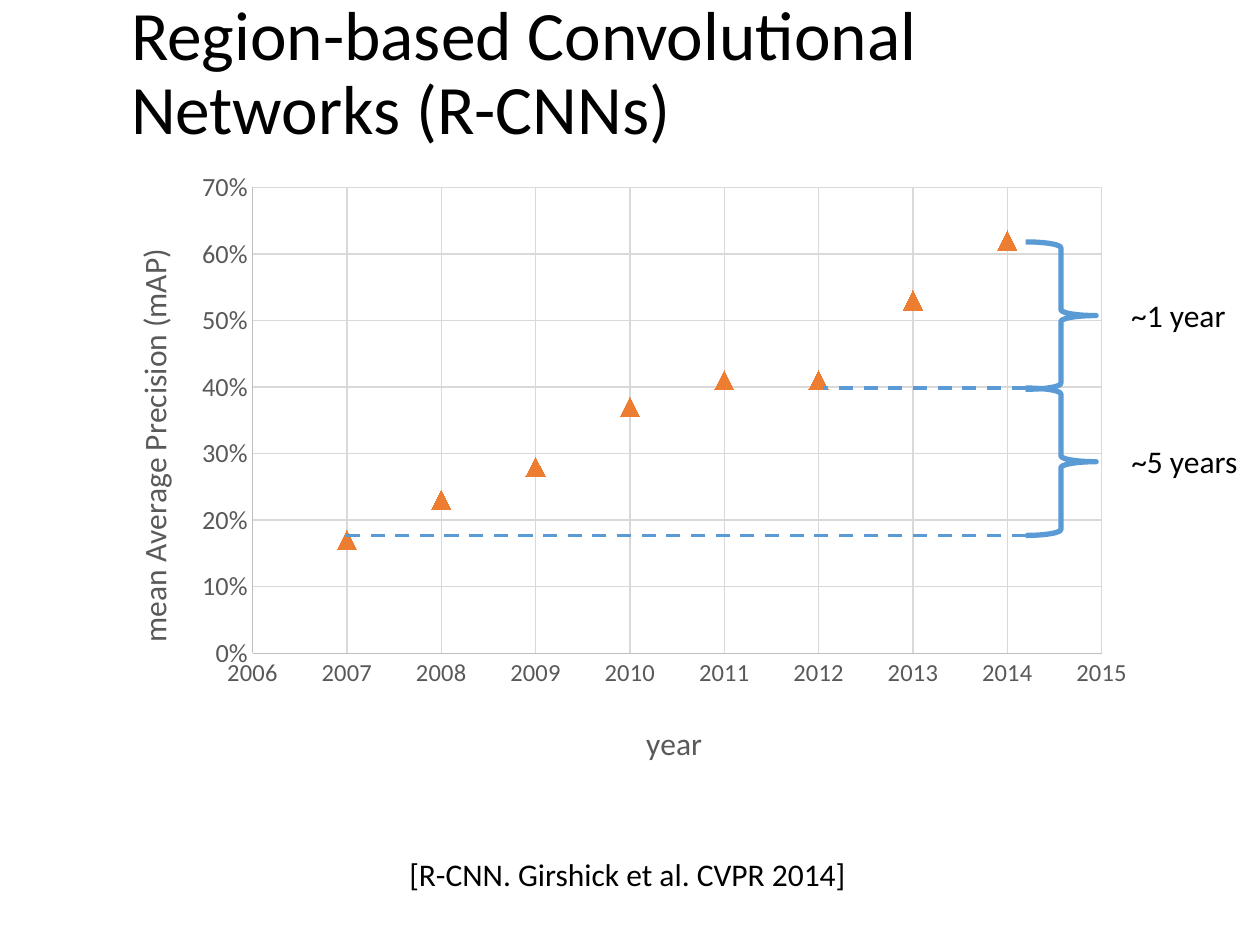
from lxml.etree import SubElement
from pptx import Presentation
from pptx.chart.data import XyChartData
from pptx.dml.color import RGBColor
from pptx.enum.chart import XL_CHART_TYPE, XL_MARKER_STYLE, XL_TICK_MARK
from pptx.enum.dml import MSO_LINE
from pptx.enum.shapes import MSO_CONNECTOR, MSO_SHAPE
from pptx.enum.text import MSO_ANCHOR, MSO_AUTO_SIZE
from pptx.oxml.ns import qn
from pptx.util import Inches, Pt

# Content
TITLE = "Region-based Convolutional Networks (R-CNNs)"
FIRST_YEAR = 2007
PRECISION = [0.17, 0.23, 0.28, 0.37, 0.41, 0.41, 0.53, 0.62]
# text, left, top, width
LABELS = [
    ("~1 year", 8.88, 2.3, 0.96),
    ("~5 years", 8.88, 3.46, 1.05),
    ("[R-CNN. Girshick et al. CVPR 2014]", 3.15, 6.74, 3.7),
]
COLORS = {"text": "000000", "axis_text": "595959", "axis": "BFBFBF",
          "grid": "D9D9D9", "marker": "ED7D31", "accent": "5B9BD5"}
FONT = "Calibri"

# Geometry
BRACE_LEFT, BRACE_WIDTH, BRACE_HEIGHT = 8.14, 0.56, 1.17
BRACE_TOPS = [1.92, 3.08]
DASHES = [(2.69, 4.25), (6.53, 3.08)]  # left end, height
PLOT_LAYOUT = {"x": 0.14, "y": 0.04, "w": 0.81, "h": 0.75}


def color(name):
    return RGBColor.from_string(COLORS[name])


def style_font(font, size, color_name="text"):
    font.name = FONT
    font.size = Pt(size)
    font.bold = False
    font.color.rgb = color(color_name)


def style_line(line, color_name, width):
    line.color.rgb = color(color_name)
    line.width = Pt(width)


def add_run(paragraph, text, size, color_name="text"):
    run = paragraph.add_run()
    run.text = text
    style_font(run.font, size, color_name)


def set_layout(element, position, inner=False):
    """Place a chart part by fractions of the chart size."""
    layout = element.find(qn("c:layout"))
    if layout is None:
        layout = element.makeelement(qn("c:layout"), {})
        element.insert(0 if inner else 1, layout)
    manual = SubElement(layout, qn("c:manualLayout"))
    if inner:
        SubElement(manual, qn("c:layoutTarget"), val="inner")
    for key in ("x", "y"):
        SubElement(manual, qn(f"c:{key}Mode"), val="edge")
    for key, value in position.items():
        SubElement(manual, qn(f"c:{key}"), val=str(value))


def style_axis(axis, limits, unit, size, number_format, title, position):
    axis.minimum_scale, axis.maximum_scale = limits
    axis.major_unit = unit
    axis.major_tick_mark = axis.minor_tick_mark = XL_TICK_MARK.NONE
    axis.has_major_gridlines = True
    style_line(axis.major_gridlines.format.line, "grid", 0.75)
    style_line(axis.format.line, "axis", 0.75)
    style_font(axis.tick_labels.font, size, "axis_text")
    axis.tick_labels.number_format = number_format
    axis.tick_labels.number_format_is_linked = False
    axis.has_title = True
    frame = axis.axis_title.text_frame
    add_run(frame.paragraphs[0], title, 18, "axis_text")
    set_layout(axis.axis_title._element, position)
    return frame


presentation = Presentation()
presentation.slide_width, presentation.slide_height = Inches(10), Inches(7.5)
slide = presentation.slides.add_slide(presentation.slide_layouts[6])

# Scatter chart
data = XyChartData()
points = data.add_series("Series 1")
for year, value in enumerate(PRECISION, FIRST_YEAR):
    points.add_data_point(year, value)
chart = slide.shapes.add_chart(
    XL_CHART_TYPE.XY_SCATTER, Inches(0.84), Inches(1.29),
    Inches(8.32), Inches(4.93), data).chart
chart.has_legend = False
chart.has_title = False
style_font(chart.font, 10)
chart.plots[0].vary_by_categories = False
style_axis(chart.category_axis, (2006, 2015), 1, 14, "0",
           "year", {"x": 0.51, "y": 0.89})
value_title = style_axis(chart.value_axis, (0, 0.7), 0.1, 15, "0%",
                         "mean Average Precision (mAP)", {"x": 0.02, "y": 0.13})
body = value_title._txBody.find(qn("a:bodyPr"))
body.set("rot", "-5400000")
body.set("vert", "horz")
set_layout(chart._chartSpace.find(".//" + qn("c:plotArea")), PLOT_LAYOUT, inner=True)

series = chart.plots[0].series[0]
series.smooth = False
series.format.line.fill.background()
series.marker.style = XL_MARKER_STYLE.TRIANGLE
series.marker.size = 11
series.marker.format.fill.solid()
series.marker.format.fill.fore_color.rgb = color("marker")
series.marker.format.line.fill.background()

# Braces over the two periods
for top in BRACE_TOPS:
    brace = slide.shapes.add_shape(
        MSO_SHAPE.RIGHT_BRACE, Inches(BRACE_LEFT), Inches(top),
        Inches(BRACE_WIDTH), Inches(BRACE_HEIGHT))
    brace.shadow.inherit = False
    brace.fill.background()
    style_line(brace.line, "accent", 3)

# Dashed guides from the braces back to the data
for left, height in DASHES:
    guide = slide.shapes.add_connector(
        MSO_CONNECTOR.STRAIGHT, Inches(BRACE_LEFT), Inches(height),
        Inches(left), Inches(height))
    style_line(guide.line, "accent", 2)
    guide.line.dash_style = MSO_LINE.DASH
    SubElement(guide._element.spPr, qn("a:effectLst"))

# Title
title_box = slide.shapes.add_textbox(Inches(0.98), Inches(0.2), Inches(8.05), Inches(0.79))
title_frame = title_box.text_frame
title_frame.word_wrap = True
title_frame.vertical_anchor = MSO_ANCHOR.MIDDLE
title_frame.margin_left = title_frame.margin_right = Inches(0.06)
title_frame.margin_top = title_frame.margin_bottom = Inches(0.06)
title_frame.paragraphs[0].line_spacing = 0.9
add_run(title_frame.paragraphs[0], TITLE, 39.6)

# Period labels and citation
for text, left, top, width in LABELS:
    label = slide.shapes.add_textbox(Inches(left), Inches(top), Inches(width), Inches(0.4))
    label.text_frame.word_wrap = False
    label.text_frame.auto_size = MSO_AUTO_SIZE.SHAPE_TO_FIT_TEXT
    add_run(label.text_frame.paragraphs[0], text, 18)

presentation.save("out.pptx")
